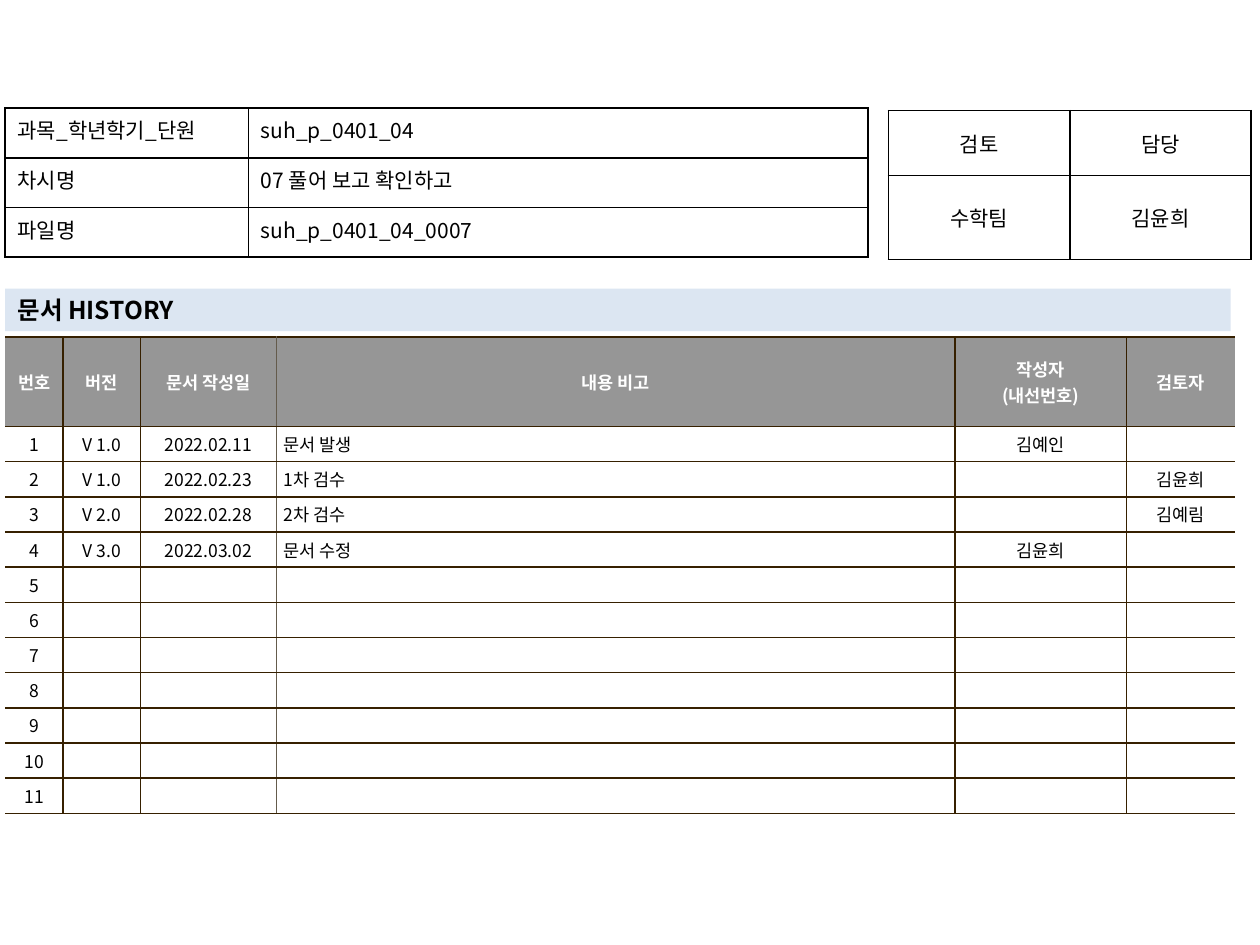
from lxml.etree import SubElement
from pptx import Presentation
from pptx.dml.color import RGBColor
from pptx.enum.shapes import MSO_SHAPE
from pptx.enum.text import MSO_ANCHOR, PP_ALIGN
from pptx.oxml.ns import qn
from pptx.util import Pt

FONT = "Noto Sans CJK KR"
BLACK = RGBColor(0x00, 0x00, 0x00)
WHITE = RGBColor(0xFF, 0xFF, 0xFF)
GRAY = RGBColor(0x96, 0x96, 0x96)
PALE_BLUE = RGBColor(0xDC, 0xE6, 0xF2)
BROWN = RGBColor(0x36, 0x20, 0x00)
TAUPE = RGBColor(0x64, 0x5B, 0x4C)

HISTORY_HEADER = ["번호", "버전", "문서 작성일", "내용 비고", "작성자\n(내선번호)", "검토자"]
HISTORY_ENTRIES = [
    ["V 1.0", "2022.02.11", "문서 발생", "김예인", ""],
    ["V 1.0", "2022.02.23", "1차 검수", "", "김윤희"],
    ["V 2.0", "2022.02.28", "2차 검수", "", "김예림"],
    ["V 3.0", "2022.03.02", "문서 수정", "김윤희", ""],
]
HISTORY_ROWS = 11
NOTE_COLUMN = 3


def write_text(frame, text, size=12, color=BLACK, bold=False, align=PP_ALIGN.LEFT):
    frame.text = text
    for paragraph in frame.paragraphs:
        paragraph.alignment = align
        if not paragraph.runs:
            paragraph.font.size = Pt(size)
        for run in paragraph.runs:
            run.font.size = Pt(size)
            run.font.bold = bold
            run.font.name = FONT
            run.font.color.rgb = color
            # Korean glyphs use the East Asian font slot
            SubElement(run.font._element, qn("a:ea"), typeface=FONT)


def set_borders(cell, left, right, top, bottom):
    """Draw one-point cell borders; None leaves an edge without a line."""
    properties = cell._tc.get_or_add_tcPr()
    edges = {"a:lnL": left, "a:lnR": right, "a:lnT": top, "a:lnB": bottom}
    for position, (tag, color) in enumerate(edges.items()):
        line = SubElement(properties, qn(tag), w=str(Pt(1)))
        if color is None:
            SubElement(line, qn("a:noFill"))
        else:
            fill = SubElement(line, qn("a:solidFill"))
            SubElement(fill, qn("a:srgbClr"), val=str(color))
        properties.insert(position, line)


def set_cell(cell, text, fill=None, inset=(7.2, 3.6), anchor=MSO_ANCHOR.MIDDLE, **text_format):
    cell.margin_left = cell.margin_right = Pt(inset[0])
    cell.margin_top = cell.margin_bottom = Pt(inset[1])
    cell.vertical_anchor = anchor
    if fill is None:
        cell.fill.background()
    else:
        cell.fill.solid()
        cell.fill.fore_color.rgb = fill
    write_text(cell.text_frame, text, **text_format)


def add_plain_table(slide, left, top, widths, heights):
    frame = slide.shapes.add_table(
        len(heights), len(widths), Pt(left), Pt(top), Pt(sum(widths)), Pt(sum(heights)))
    table = frame.table
    table.first_row = table.horz_banding = False
    for column, width in zip(table.columns, widths):
        column.width = Pt(width)
    for row, height in zip(table.rows, heights):
        row.height = Pt(height)
    return table


def add_document_info(slide, left, top, width, height):
    rows = [
        ("과목_학년학기_단원", "suh_p_0401_04"),
        ("차시명", "07 풀어 보고 확인하고"),
        ("파일명", "suh_p_0401_04_0007"),
    ]
    label_width = 139
    table = add_plain_table(slide, left, top, [label_width, width - label_width],
                            [height / len(rows)] * len(rows))
    for row, texts in enumerate(rows):
        for column, text in enumerate(texts):
            cell = table.cell(row, column)
            align = PP_ALIGN.LEFT if column else PP_ALIGN.JUSTIFY
            set_cell(cell, text, anchor=MSO_ANCHOR.TOP, align=align)
            set_borders(cell, BLACK, BLACK, BLACK, BLACK)


def add_approval(slide, left, top, width, height):
    title_height = 37
    table = add_plain_table(slide, left, top, [width / 2] * 2,
                            [title_height, height - title_height])
    for row, texts in enumerate([("검토", "담당"), ("수학팀", "김윤희")]):
        for column, text in enumerate(texts):
            cell = table.cell(row, column)
            set_cell(cell, text, align=PP_ALIGN.CENTER)
            set_borders(cell, BLACK, BLACK, BLACK, BLACK)


def add_history_title(slide, left, top, width, height):
    bar = slide.shapes.add_shape(
        MSO_SHAPE.RECTANGLE, Pt(left), Pt(top), Pt(width), Pt(height))
    bar.shadow.inherit = False
    bar.fill.solid()
    bar.fill.fore_color.rgb = PALE_BLUE
    bar.line.fill.background()
    bar.text_frame.word_wrap = True
    bar.text_frame.vertical_anchor = MSO_ANCHOR.MIDDLE
    write_text(bar.text_frame, "문서 HISTORY", size=14, bold=True)


def add_history(slide, left, top, width, height):
    header_height = 51
    row_height = (height - header_height) / HISTORY_ROWS
    widths = [33.2, 44.2, 77.6, 388, 97.8]
    widths.append(width - sum(widths))
    table = add_plain_table(slide, left, top, widths,
                            [header_height] + [row_height] * HISTORY_ROWS)

    # Vertical lines: open at both sides, lighter before the notes
    verticals = [None] + [BROWN] * (len(widths) - 1) + [None]
    verticals[NOTE_COLUMN] = TAUPE

    blank_entries = [[""] * (len(widths) - 1)] * (HISTORY_ROWS - len(HISTORY_ENTRIES))
    numbered = [[str(number)] + entry
                for number, entry in enumerate(HISTORY_ENTRIES + blank_entries, 1)]
    for row, texts in enumerate([HISTORY_HEADER] + numbered):
        is_header = row == 0
        for column, text in enumerate(texts):
            cell = table.cell(row, column)
            is_note = column == NOTE_COLUMN and not is_header
            set_cell(cell, text, fill=GRAY if is_header else WHITE, inset=(4.3, 2.8),
                     size=10, bold=is_header, color=WHITE if is_header else BLACK,
                     align=PP_ALIGN.LEFT if is_note else PP_ALIGN.CENTER)
            set_borders(cell, verticals[column], verticals[column + 1], BROWN, BROWN)


def main():
    presentation = Presentation()
    presentation.slide_width, presentation.slide_height = Pt(720), Pt(540)
    slide = presentation.slides.add_slide(presentation.slide_layouts[6])

    add_history(slide, 2.9, 192.7, 703, 272.1)
    add_approval(slide, 507.6, 63.2, 207.4, 85)
    add_history_title(slide, 2.9, 165, 700.3, 24.2)
    add_document_info(slide, 2.9, 61.8, 493.2, 85.2)

    presentation.save("out.pptx")


if __name__ == "__main__":
    main()
